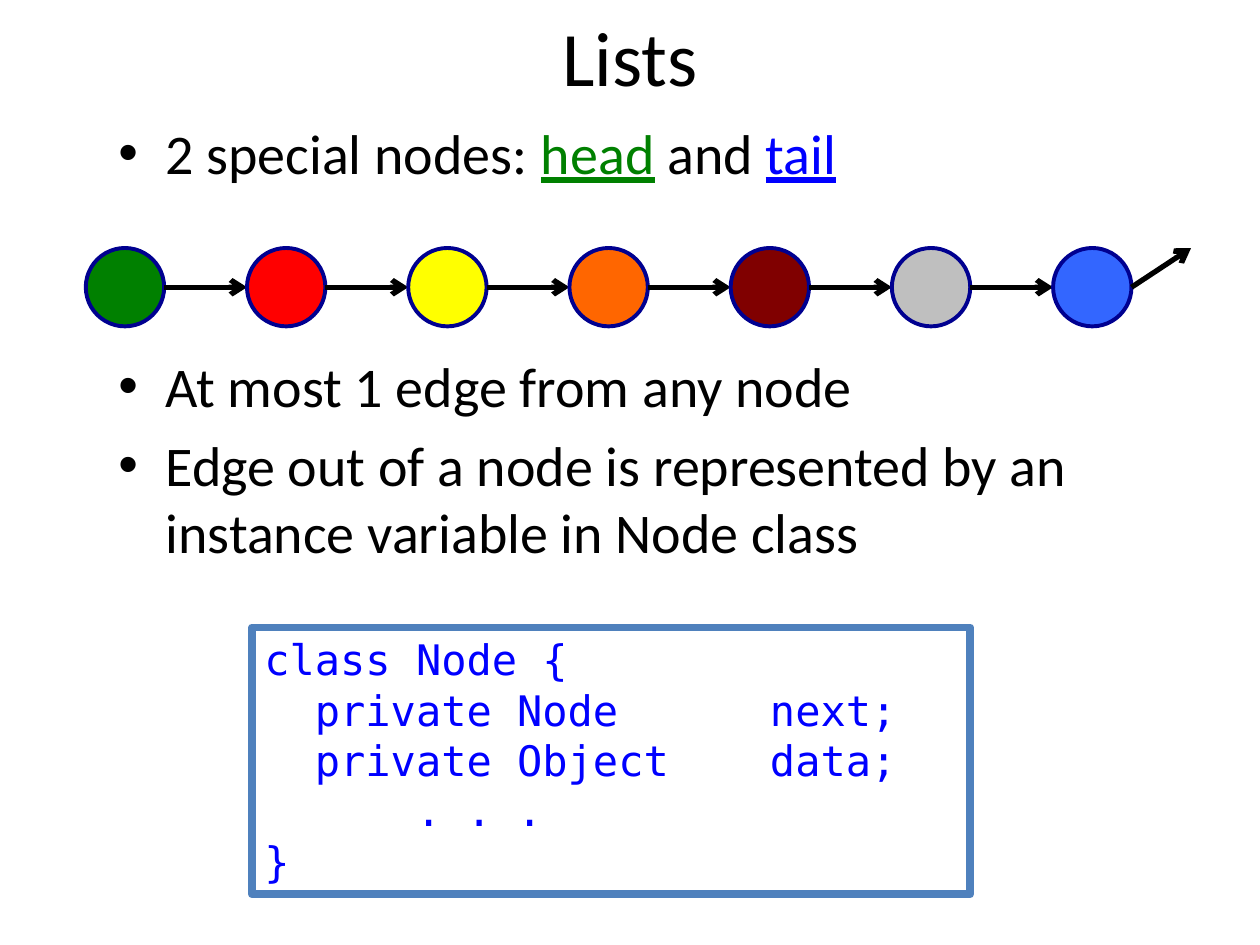
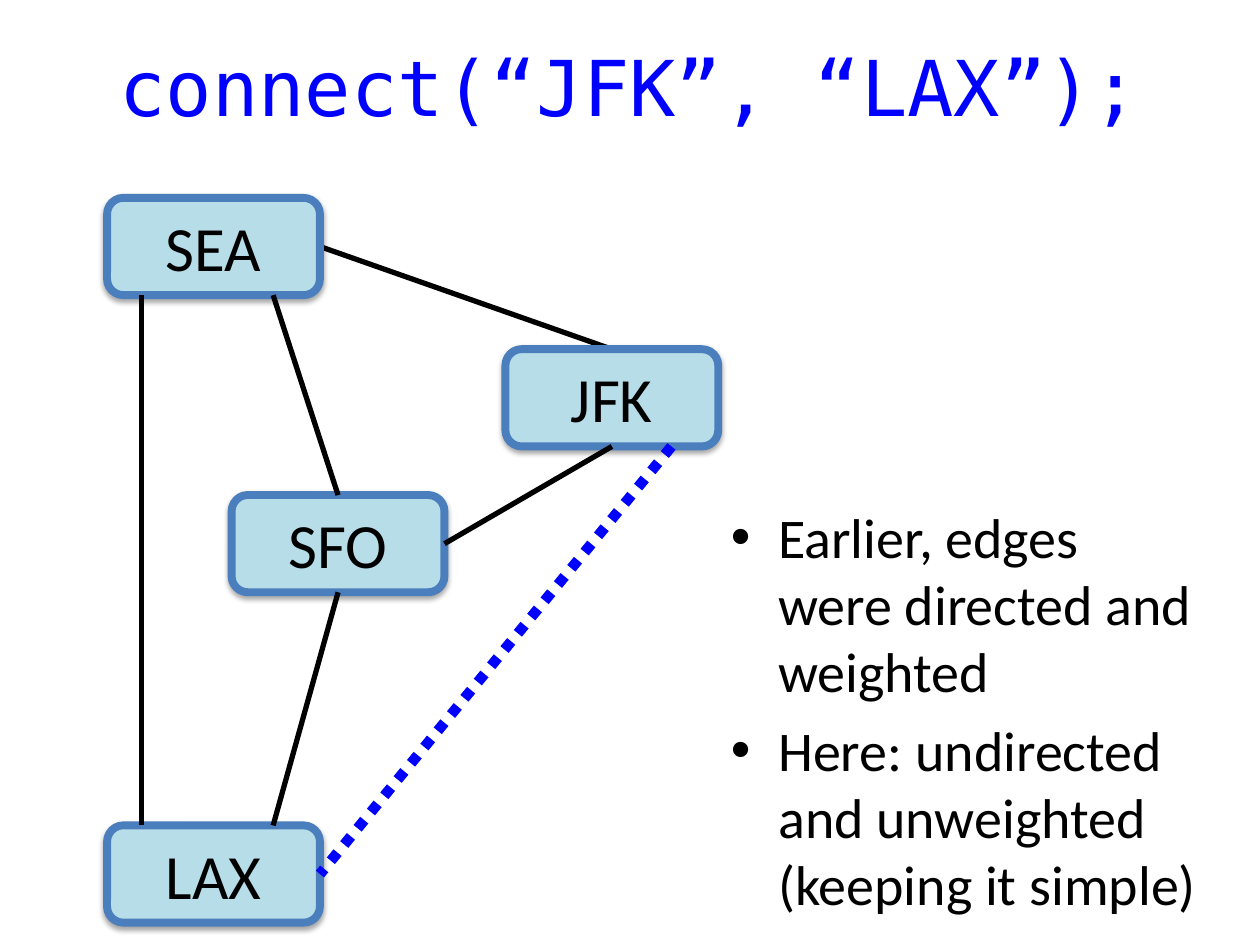
from dataclasses import dataclass

from lxml import etree
from pptx import Presentation
from pptx.dml.color import RGBColor
from pptx.enum.dml import MSO_LINE
from pptx.enum.shapes import MSO_CONNECTOR, MSO_SHAPE
from pptx.enum.text import MSO_ANCHOR, MSO_AUTO_SIZE, PP_ALIGN
from pptx.oxml.ns import qn
from pptx.util import Cm, Pt

STRAIGHT = MSO_CONNECTOR.STRAIGHT
OVAL, RECT, ROUNDED = MSO_SHAPE.OVAL, MSO_SHAPE.RECTANGLE, MSO_SHAPE.ROUNDED_RECTANGLE
DOT = MSO_LINE.ROUND_DOT
LEFT, CENTER = PP_ALIGN.LEFT, PP_ALIGN.CENTER
TOP, MIDDLE = MSO_ANCHOR.TOP, MSO_ANCHOR.MIDDLE
NO_FIT, GROW = MSO_AUTO_SIZE.NONE, MSO_AUTO_SIZE.SHAPE_TO_FIT_TEXT


@dataclass(frozen=True)
class Theme:
    font: str = "Calibri"
    code_font: str = "DejaVu Sans Mono"
    ink: str = "000000"
    blue: str = "0000FF"
    green: str = "008000"
    ring: str = "000090"
    code_border: str = "4F81BD"
    airport_fill: str = "B7DEE8"
    airport_border: str = "4B7EBC"
    title_size: float = 44
    airport_size: float = 36
    body_size: float = 32
    code_size: float = 24
    ring_width: float = 2.25
    edge_width: float = 3
    border_width: float = 4.5
    new_edge_width: float = 6


THEME = Theme()

LIST_TITLE = "Lists"
LIST_POINTS = [
    [("2 special nodes: ", THEME.ink), ("head", THEME.green),
     (" and ", THEME.ink), ("tail", THEME.blue)],
    [("At most 1 edge from any node", THEME.ink)],
    [("Edge out of a node is represented by an instance variable in Node class", THEME.ink)],
]
DIAGRAM_GAP = 95
LIST_NODES = [THEME.green, "FF0000", "FFFF00", "FF6600", "800000", "BFBFBF", "3366FF"]
NODE_CLASS = [
    "class Node {",
    "  private Node      next;",
    "  private Object    data;",
    "      . . .",
    "}",
]

GRAPH_TITLE = "connect(“JFK”, “LAX”);"
GRAPH_POINTS = [
    [("Earlier, edges were directed and weighted", THEME.ink)],
    [("Here: undirected and unweighted (keeping it simple)", THEME.ink)],
]
AIRPORTS = {"SFO": (4.67, 9.98), "LAX": (2.16, 16.64), "JFK": (10.19, 7.04), "SEA": (2.16, 3.99)}
NEAR_LEFT, NEAR_RIGHT = 0.16, 0.78
REAR_EDGE = (("JFK", 0.5, 0), ("SEA", 1, 0.5))
EDGES = [
    (("SEA", NEAR_LEFT, 1), ("LAX", NEAR_LEFT, 0)),
    (("LAX", NEAR_RIGHT, 0), ("SFO", 0.5, 1)),
    (("SFO", 0.5, 0), ("SEA", NEAR_RIGHT, 1)),
    (("SFO", 1, 0.5), ("JFK", 0.5, 1)),
]
NEW_EDGE = (("JFK", NEAR_RIGHT, 1), ("LAX", 1, 0.5))

TITLE_LEFT, TITLE_WIDTH, TITLE_HEIGHT = 1.27, 22.86, 3.18
BODY_HEIGHT = 12.57
NODE_LEFT, NODE_TOP, NODE_SIZE, NODE_STEP = 1.73, 5, 1.58, 3.25
LAST_ARROW_RUN = 1.2
AIRPORT_WIDTH, AIRPORT_HEIGHT = 4.29, 1.96


def rgb(color):
    return RGBColor.from_string(color)


def add_run(paragraph, text, size, color=THEME.ink, font=THEME.font):
    run = paragraph.add_run()
    run.text = text
    run.font.name = font
    run.font.size = Pt(size)
    run.font.color.rgb = rgb(color)
    return run


def place(part, left, top, width, height):
    part.left, part.top, part.width, part.height = map(Cm, (left, top, width, height))


def add_slide(deck, title, title_top, points, body_box, title_font=THEME.font,
              title_color=THEME.ink):
    slide = deck.slides.add_slide(deck.slide_layouts[1])
    heading, body = slide.placeholders[0], slide.placeholders[1]
    place(heading, TITLE_LEFT, title_top, TITLE_WIDTH, TITLE_HEIGHT)
    heading.text_frame.auto_size = NO_FIT
    add_run(heading.text_frame.paragraphs[0], title, THEME.title_size, title_color, title_font)

    place(body, *body_box, BODY_HEIGHT)
    frame = body.text_frame
    frame.auto_size = NO_FIT
    for index, point in enumerate(points):
        paragraph = frame.add_paragraph() if index else frame.paragraphs[0]
        if not index:
            paragraph.space_before = Pt(0)
        for text, color in point:
            run = add_run(paragraph, text, THEME.body_size, color)
            if color != THEME.ink:
                run.font.underline = True
    return slide


def add_block(slide, outline, box, fill, border, border_width):
    block = slide.shapes.add_shape(outline, *map(Cm, box))
    block.shadow.inherit = False
    if fill:
        block.fill.solid()
        block.fill.fore_color.rgb = rgb(fill)
    else:
        block.fill.background()
    block.line.color.rgb = rgb(border)
    block.line.width = Pt(border_width)
    return block


def add_edge(slide, start, end, color=THEME.ink, width=THEME.edge_width, dash=None, arrow=False):
    edge = slide.shapes.add_connector(STRAIGHT, *map(Cm, (*start, *end)))
    edge.line.color.rgb = rgb(color)
    edge.line.width = Pt(width)
    if dash:
        edge.line.dash_style = dash
    properties = edge._element.spPr
    if arrow:
        etree.SubElement(properties.find(qn("a:ln")), qn("a:tailEnd"), type="arrow")
    etree.SubElement(properties, qn("a:effectLst"))


def add_soft_shadow(block):
    effects = block._element.spPr.find(qn("a:effectLst"))
    shadow = etree.SubElement(effects, qn("a:outerShdw"), blurRad=str(Pt(3.1)),
                              dist=str(Pt(1.8)), dir="5400000", rotWithShape="0")
    tint = etree.SubElement(shadow, qn("a:srgbClr"), val=THEME.ink)
    etree.SubElement(tint, qn("a:alpha"), val="35000")


def add_airport(slide, code):
    box = (*AIRPORTS[code], AIRPORT_WIDTH, AIRPORT_HEIGHT)
    airport = add_block(slide, ROUNDED, box, THEME.airport_fill, THEME.airport_border,
                        THEME.border_width)
    add_soft_shadow(airport)
    airport.text_frame.vertical_anchor = MIDDLE
    label = airport.text_frame.paragraphs[0]
    label.alignment = CENTER
    add_run(label, code, THEME.airport_size)


def anchor(code, across, down):
    left, top = AIRPORTS[code]
    return left + across * AIRPORT_WIDTH, top + down * AIRPORT_HEIGHT


def build_lists(deck):
    slide = add_slide(deck, LIST_TITLE, -0.46, LIST_POINTS, (2.13, 2.26, 22.86))
    slide.placeholders[1].text_frame.paragraphs[1].space_before = Pt(DIAGRAM_GAP)

    middle = NODE_TOP + NODE_SIZE / 2
    for index, color in enumerate(LIST_NODES):
        left = NODE_LEFT + index * NODE_STEP
        right = left + NODE_SIZE
        add_block(slide, OVAL, (left, NODE_TOP, NODE_SIZE, NODE_SIZE), color, THEME.ring,
                  THEME.ring_width)
        is_tail = index == len(LIST_NODES) - 1
        target = (right + LAST_ARROW_RUN, NODE_TOP) if is_tail else (left + NODE_STEP, middle)
        add_edge(slide, (right, middle), target, arrow=True)

    listing = add_block(slide, RECT, (5.08, 12.65, 14.48, 5.38), None, THEME.code_border,
                        THEME.border_width)
    frame = listing.text_frame
    frame.word_wrap = True
    frame.auto_size = GROW
    frame.vertical_anchor = TOP
    for index, code_line in enumerate(NODE_CLASS):
        paragraph = frame.add_paragraph() if index else frame.paragraphs[0]
        paragraph.alignment = LEFT
        add_run(paragraph, code_line, THEME.code_size, THEME.blue, THEME.code_font)


def build_graph(deck):
    slide = add_slide(deck, GRAPH_TITLE, 0.13, GRAPH_POINTS, (14.48, 10, 9.93),
                      THEME.code_font, THEME.blue)
    add_edge(slide, *(anchor(*end) for end in REAR_EDGE))
    for code in AIRPORTS:
        add_airport(slide, code)
    for edge in EDGES:
        add_edge(slide, *(anchor(*end) for end in edge))
    add_edge(slide, *(anchor(*end) for end in NEW_EDGE), THEME.blue, THEME.new_edge_width, DOT)


def main():
    deck = Presentation()
    deck.slide_width, deck.slide_height = Cm(25.4), Cm(19.05)
    build_lists(deck)
    build_graph(deck)
    deck.save("out.pptx")


if __name__ == "__main__":
    main()
